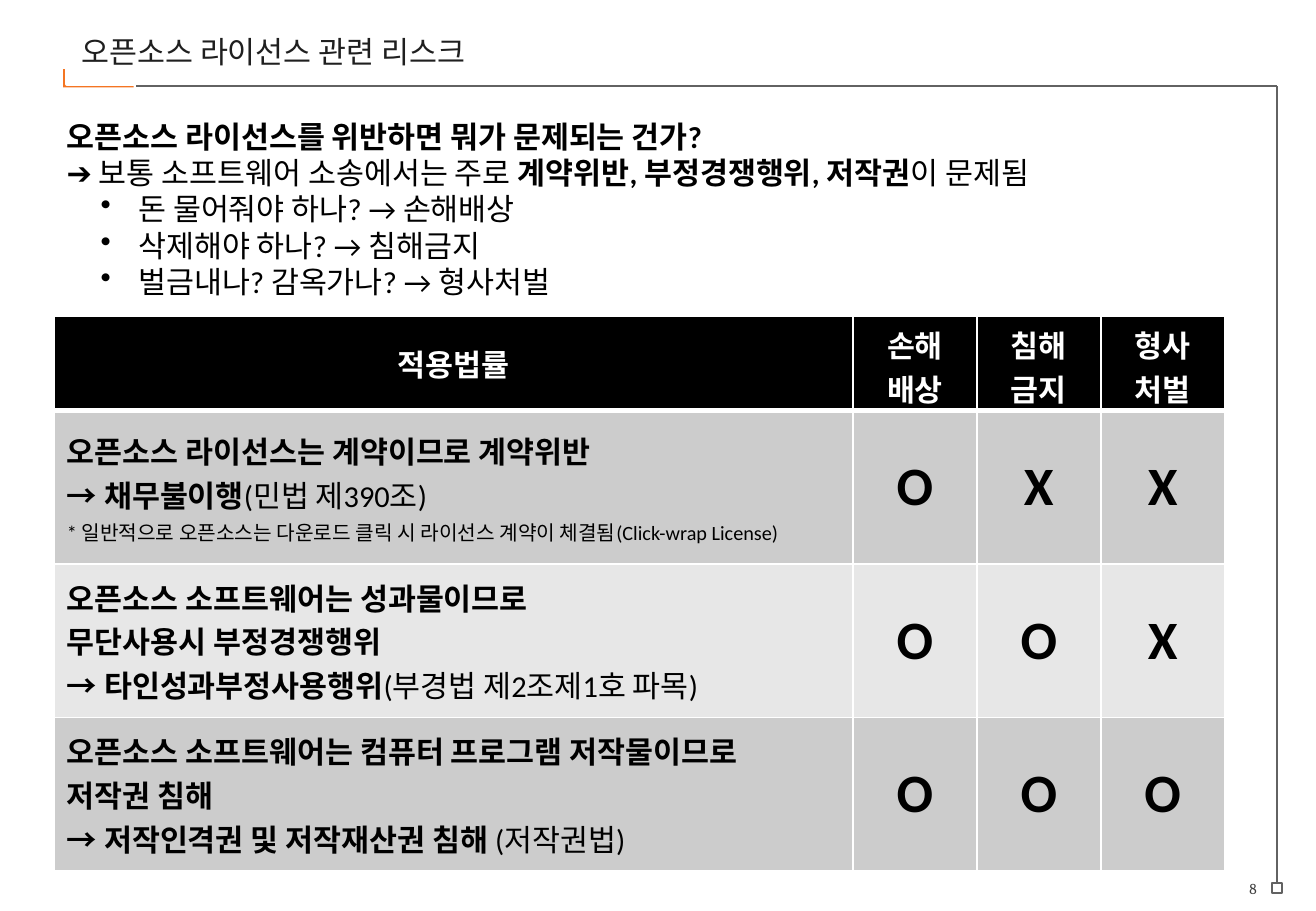
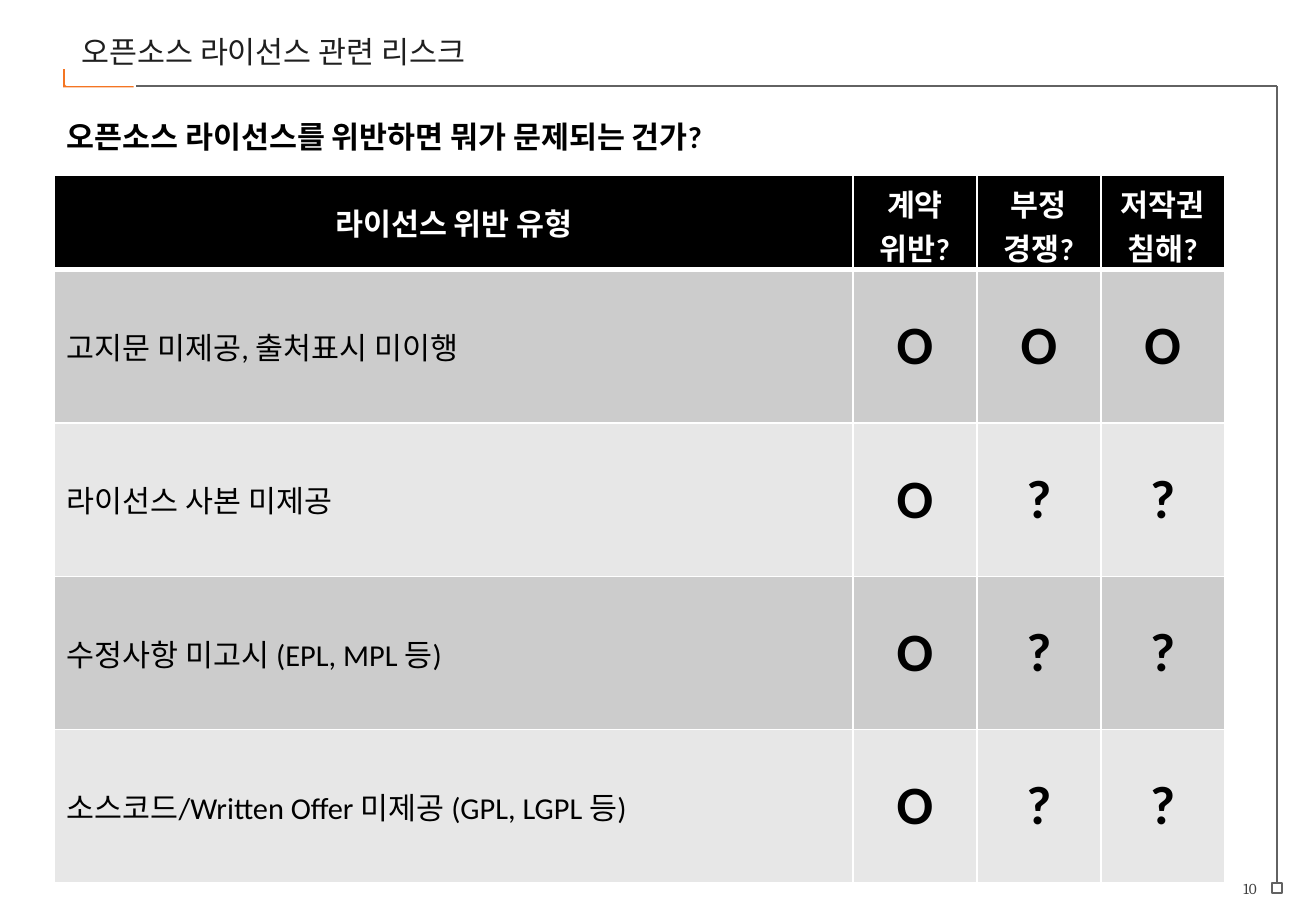
import dataclasses
import pptx
import pptx.util
import pptx.dml.color
import pptx.enum.text
import pptx.enum.shapes
import pptx.oxml
import pptx.oxml.ns

UNIT = pptx.util.Inches(0.1)
ANCHOR = pptx.enum.text.MSO_ANCHOR
ALIGN = pptx.enum.text.PP_ALIGN
QN = pptx.oxml.ns.qn


@dataclasses.dataclass
class Theme:
    """Colours, fonts and type sizes."""
    black: str = "000000"
    white: str = "FFFFFF"
    accent: str = "F47523"
    rule: str = "626262"
    title: str = "1F1F1F"
    page: str = "404040"
    bands: tuple = ("CCCCCC", "E7E7E7")
    latin: str = "Calibri"
    hangul: str = "Noto Sans CJK KR"
    serif: str = "Cambria"
    text: int = 18
    note: int = 12
    mark: int = 32
    small: int = 9


@dataclasses.dataclass
class Box:
    """A region measured in grid units."""
    x: float
    y: float
    w: float
    h: float

    def sub(self, x, y, w, h):
        """Return a region placed relative to this one."""
        return Box(self.x + x, self.y + y, w, h)

    def emu(self):
        """Return left, top, width and height for a shape."""
        return [round(n * UNIT) for n in (self.x, self.y, self.w, self.h)]


THEME = Theme()
PAGE = Box(0, 0, 108.3, 75)


def tint(code):
    """Return a colour from its hex code."""
    return pptx.dml.color.RGBColor.from_string(code)


def style(run, size, color, bold, latin, asian):
    """Format one run."""
    font = run.font
    font.size = pptx.util.Pt(size)
    font.bold = bold
    font.color.rgb = tint(color)
    font.name = latin
    rpr = run._r.get_or_add_rPr()
    rpr.append(rpr.makeelement(QN("a:ea"), {"typeface": asian}))


def dot(para):
    """Give a paragraph a hanging bullet."""
    ppr = para._p.get_or_add_pPr()
    ppr.set("marL", str(round(5.9 * UNIT)))
    ppr.set("indent", str(round(-3.1 * UNIT)))
    ppr.append(ppr.makeelement(QN("a:buChar"), {"char": "•"}))


def write(frame, paras, size=THEME.text, color=THEME.black, align=ALIGN.LEFT,
          latin=THEME.latin, asian=THEME.hangul):
    """Fill a frame; a bar in the text switches between bold and regular."""
    for num, text in enumerate(paras):
        para = frame.add_paragraph() if num else frame.paragraphs[0]
        para.alignment = align
        if text.startswith("•"):
            dot(para)
            text = text[1:]
        high = THEME.note if text.startswith("|*") else size
        for turn, part in enumerate(text.split("|")):
            for step, line in enumerate(part.split("\n")):
                if step:
                    para.add_line_break()
                if line:
                    run = para.add_run()
                    run.text = line
                    style(run, high, color, turn % 2 == 0, latin, asian)


def label(slide, box, paras, anchor=ANCHOR.TOP, **look):
    """Add a wrapping text box."""
    frame = slide.shapes.add_textbox(*box.emu()).text_frame
    frame.word_wrap = True
    frame.vertical_anchor = anchor
    write(frame, paras, **look)


def block(slide, box, fill=None, line=None, width=1):
    """Add a plain rectangle."""
    kind = pptx.enum.shapes.MSO_SHAPE.RECTANGLE
    shape = slide.shapes.add_shape(kind, *box.emu())
    shape.shadow.inherit = False
    if fill:
        shape.fill.solid()
        shape.fill.fore_color.rgb = tint(fill)
    else:
        shape.fill.background()
    if line:
        shape.line.color.rgb = tint(line)
        shape.line.width = pptx.util.Pt(width)
    else:
        shape.line.fill.background()


def rule(slide, box):
    """Draw a thin line from one corner of a box to the other."""
    x, y, w, h = box.emu()
    kind = pptx.enum.shapes.MSO_CONNECTOR.STRAIGHT
    line = slide.shapes.add_connector(kind, x, y, x + w, y + h)
    line.line.color.rgb = tint(THEME.rule)
    line.line.width = pptx.util.Pt(1)
    props = line._element.spPr
    props.append(props.makeelement(QN("a:effectLst"), {}))


def base(deck, box, title, page):
    """Add a slide with its title, rules and page number."""
    slide = deck.slides.add_slide(deck.slide_layouts[5])
    block(slide, box.sub(5.2, 5.7, 5.8, 1.5), THEME.accent)
    block(slide, box.sub(5.5, 5.7, 5.5, 1.2), THEME.white, THEME.white, 2.25)
    rule(slide, box.sub(11.2, 7.1, 93.9, 0))
    rule(slide, box.sub(105.1, 7.1, 0, 65.6))
    block(slide, box.sub(104.7, 72.7, 0.8, 0.8), None, THEME.rule)
    label(slide, box.sub(75.2, 72.2, 29.2, 1.8), ["|" + page], ANCHOR.MIDDLE,
          size=THEME.small, color=THEME.page, align=ALIGN.RIGHT,
          latin=THEME.serif)
    head = slide.shapes.title
    head.left, head.top, head.width, head.height = box.sub(5.7, 2.2, 37.5, 4).emu()
    frame = head.text_frame
    frame.auto_size = pptx.enum.text.MSO_AUTO_SIZE.NONE
    frame.vertical_anchor = ANCHOR.MIDDLE
    write(frame, ["|" + title], color=THEME.title, latin=THEME.hangul)
    return slide


def edge(cell, top, foot):
    """Draw white borders around a cell."""
    props = cell._tc.get_or_add_tcPr()
    widths = {"lnL": 1, "lnR": 1, "lnT": top, "lnB": foot}
    for num, (side, width) in enumerate(widths.items()):
        line = props.makeelement(QN("a:" + side), {"w": str(pptx.util.Pt(width))})
        fill = line.makeelement(QN("a:solidFill"), {})
        fill.append(line.makeelement(QN("a:srgbClr"), {"val": THEME.white}))
        line.append(fill)
        props.insert(num, line)


def grid(slide, box, heads, rows):
    """Add a table with one wide text column and narrow mark columns."""
    data = [heads] + rows
    slim, top = 10.2, 7.8
    table = slide.shapes.add_table(len(data), len(heads), *box.emu()).table
    table.horz_banding = False
    wide = box.w - slim * (len(heads) - 1)
    for col, column in enumerate(table.columns):
        column.width = round((slim if col else wide) * UNIT)
    for row, line in enumerate(data):
        tall = (box.h - top) / len(rows) if row else top
        table.rows[row].height = round(tall * UNIT)
        for col, paras in enumerate(line):
            cell = table.cell(row, col)
            cell.fill.solid()
            shade = THEME.bands[(row - 1) % 2] if row else THEME.black
            cell.fill.fore_color.rgb = tint(shade)
            edge(cell, 3 if row == 1 else 1, 1 if row else 3)
            cell.vertical_anchor = ANCHOR.MIDDLE if row or not col else ANCHOR.TOP
            if col and not row:
                cell.margin_bottom = 0
            write(cell.text_frame, paras,
                  size=THEME.mark if row and col else THEME.text,
                  color=THEME.black if row else THEME.white,
                  align=ALIGN.LEFT if row and not col else ALIGN.CENTER)


def sheet(deck, page, lead, wide, top, tall, heads, rows):
    """Build a slide with lead text above a table."""
    slide = base(deck, PAGE, "오픈소스 라이선스 관련 리스크", page)
    area = PAGE.sub(4.5, 9.2, 96.3, 63.5)
    label(slide, area.sub(0, 0, wide, 1 + 3 * len(lead)), lead,
          asian=THEME.latin)
    grid(slide, area.sub(0, top, area.w, tall), heads, rows)


def main():
    """Build and save the deck."""
    deck = pptx.Presentation()
    deck.slide_width, deck.slide_height = PAGE.emu()[2:]
    ask = "오픈소스 라이선스를 위반하면 뭐가 문제되는 건가?"
    sheet(deck, "8", [
        ask,
        "➔ |보통 소프트웨어 소송에서는 주로 |계약위반, 부정경쟁행위, 저작권|이 문제됨",
        "•|돈 물어줘야 하나? → 손해배상",
        "•|삭제해야 하나? → 침해금지",
        "•|벌금내나? 감옥가나? → 형사처벌",
    ], 91.4, 16.8, 45.7, [
        ["적용법률"], ["손해", "배상"], ["침해", "금지"], ["형사", "처벌"],
    ], [
        [["오픈소스 라이선스는 계약이므로 계약위반\n→ 채무불이행|(민법 제390조)",
          "|* 일반적으로 오픈소스는 다운로드 클릭 시 라이선스 계약이 체결됨(Click-wrap License)"],
         "O", "X", "X"],
        [["오픈소스 소프트웨어는 성과물이므로\n무단사용시 부정경쟁행위\n"
          "→ 타인성과부정사용행위|(부경법 제2조제1호 파목)"], "O", "O", "X"],
        [["오픈소스 소프트웨어는 컴퓨터 프로그램 저작물이므로\n저작권 침해\n"
          "→ 저작인격권 및 저작재산권 침해 |(저작권법)"], "O", "O", "O"],
    ])
    sheet(deck, "10", [ask], 59.1, 5.2, 58.3, [
        ["라이선스 위반 유형"], ["계약", "위반?"], ["부정", "경쟁?"], ["저작권 침해?"],
    ], [
        [["|고지문 미제공, 출처표시 미이행"], "O", "O", "O"],
        [["|라이선스 사본 미제공"], "O", "?", "?"],
        [["|수정사항 미고시 (EPL, MPL 등)"], "O", "?", "?"],
        [["|소스코드/Written Offer 미제공 (GPL, LGPL 등)"], "O", "?", "?"],
    ])
    deck.save("out.pptx")


if __name__ == "__main__":
    main()
